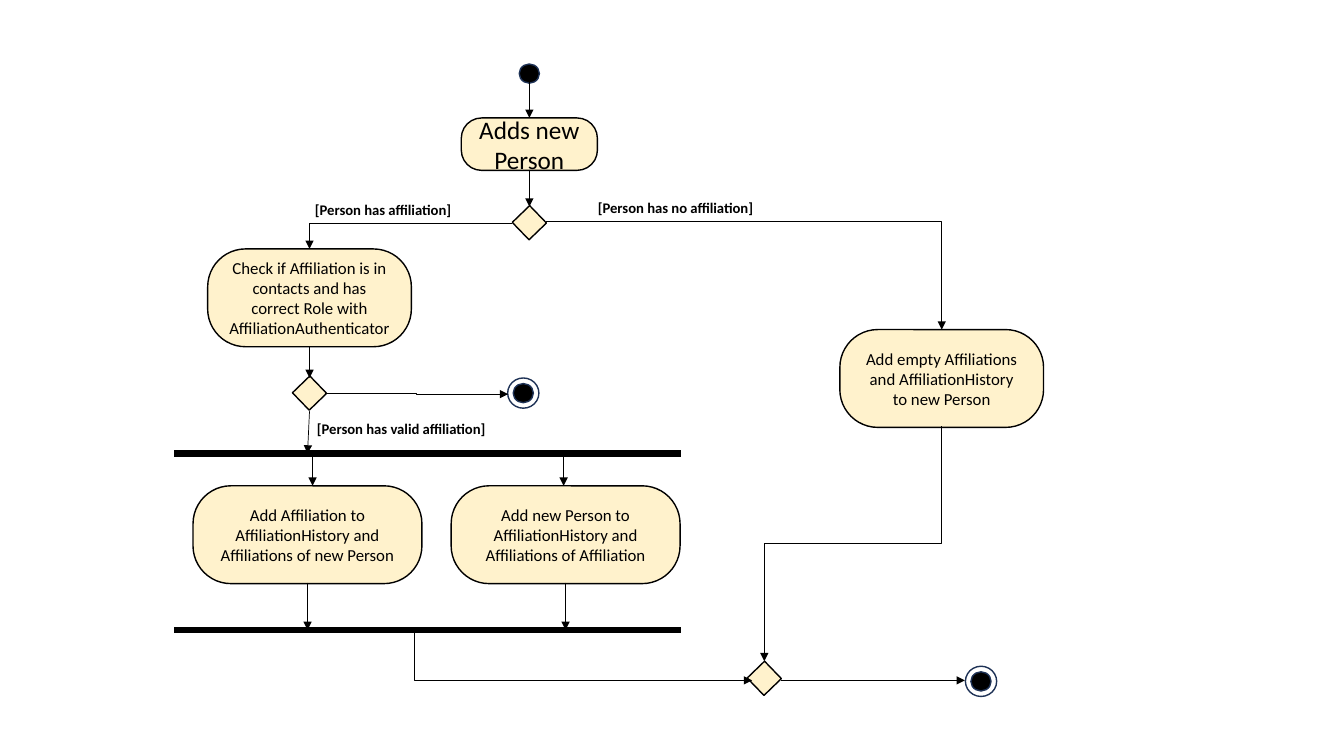
from dataclasses import dataclass

from lxml import etree
from pptx import Presentation
from pptx.dml.color import RGBColor
from pptx.enum.shapes import MSO_CONNECTOR, MSO_SHAPE
from pptx.enum.text import MSO_ANCHOR, PP_ALIGN
from pptx.oxml.ns import qn
from pptx.util import Inches, Pt

STRAIGHT, ELBOW = MSO_CONNECTOR.STRAIGHT, MSO_CONNECTOR.ELBOW
ROUNDED, RECTANGLE, OVAL = MSO_SHAPE.ROUNDED_RECTANGLE, MSO_SHAPE.RECTANGLE, MSO_SHAPE.OVAL
MIDDLE, CENTER = MSO_ANCHOR.MIDDLE, PP_ALIGN.CENTER


@dataclass(frozen=True)
class Theme:
    """Colours, font and sizes of the diagram."""
    ink: RGBColor = RGBColor(0x00, 0x00, 0x00)
    cream: RGBColor = RGBColor(0xFF, 0xF2, 0xCC)
    navy: RGBColor = RGBColor(0x1E, 0x32, 0x56)
    font: str = "Calibri"
    heading: float = 18
    body: float = 12
    label: float = 10.5
    outline: float = 1
    arrow: float = 0.5
    bar: float = 4.5


THEME = Theme()

# Grid of one-inch cells: columns across, rows down
COLUMNS, ROWS = 13.33, 7.5
MAIN, LEFT, RIGHT, MERGE, FINISH = 5.25, 3.07, 9.34, 7.58, 9.73
BRANCHES = (3.05, 5.61)
BAR_LEFT, BAR_RIGHT, FORK, JOIN = 1.73, 6.75, 4.5, 6.25
BRANCH_TOP, BRANCH_BOTTOM = 4.82, 5.78
ACTION_HEIGHT = 0.97


def grid(*cells):
    """Turn grid cells into slide lengths."""
    return [Inches(cell) for cell in cells]


def write(box, words, size, bold=False):
    """Put centred text into a box."""
    frame = box.text_frame
    frame.word_wrap = True
    para = frame.paragraphs[0]
    para.text = words
    para.alignment = CENTER
    para.font.name, para.font.size, para.font.bold = THEME.font, Pt(size), bold
    para.font.color.rgb = THEME.ink


def add_node(page, kind, column, row, width, height, fill, line):
    """Add an outlined shape centred on a grid point."""
    node = page.shapes.add_shape(
        kind, *grid(column - width / 2, row - height / 2, width, height))
    node.shadow.inherit = False
    if fill is None:
        node.fill.background()
    else:
        node.fill.solid()
        node.fill.fore_color.rgb = fill
    node.line.color.rgb = line
    node.line.width = Pt(THEME.outline)
    return node


def add_action(page, words, column, top, width, height=ACTION_HEIGHT, size=THEME.body):
    """Add a rounded activity box below the given row."""
    action = add_node(page, ROUNDED, column, top + height / 2, width, height,
                      THEME.cream, THEME.ink)
    action.adjustments[0] = 0.387
    action.text_frame.vertical_anchor = MIDDLE
    write(action, words, size)


def add_decision(page, column, row):
    """Add a diamond as a turned square."""
    add_node(page, RECTANGLE, column, row, 0.24, 0.24, THEME.cream, THEME.ink).rotation = 46


def add_dot(page, column, row):
    """Add the filled dot of a start or an end."""
    add_node(page, OVAL, column, row, 0.2, 0.19, THEME.ink, THEME.navy)


def add_end(page, column, row):
    """Add a dot inside a ring."""
    add_dot(page, column, row)
    add_node(page, OVAL, column, row, 0.31, 0.3, None, THEME.navy)


def add_guard(page, words, column, top):
    """Add a bold condition centred on a column."""
    width = 2.56
    box = page.shapes.add_textbox(*grid(column - width / 2, top, width, 0.28))
    write(box, words, THEME.label, bold=True)


def add_line(page, begin, end, kind=STRAIGHT, weight=THEME.bar):
    """Add a plain line between two grid points."""
    line = page.shapes.add_connector(kind, *grid(*begin, *end))
    line.line.color.rgb = THEME.ink
    line.line.width = Pt(weight)
    etree.SubElement(line.element.spPr, qn("a:effectLst"))
    return line


def add_arrow(page, begin, end, kind=STRAIGHT):
    """Add a thin line with a triangle at its end."""
    arrow = add_line(page, begin, end, kind, THEME.arrow)
    etree.SubElement(arrow.element.spPr.find(qn("a:ln")), qn("a:tailEnd"), type="triangle")
    return arrow


def add_corner(page, begin, end):
    """Add an arrow that runs across, then down."""
    arrow = add_arrow(page, begin, end, ELBOW)
    arrow.element.spPr.find(qn("a:prstGeom")).set("prst", "bentConnector2")


def add_step(page, begin, end, bend=0.5):
    """Add an arrow across, down and across, turning at a share of its width."""
    arrow = add_arrow(page, begin, end, ELBOW)
    guides = arrow.element.spPr.find(qn("a:prstGeom")).find(qn("a:avLst"))
    etree.SubElement(guides, qn("a:gd"), name="adj1", fmla=f"val {round(bend * 100000)}")


def add_drop(page, begin, end):
    """Add an arrow down, left and down: a step turned by a quarter."""
    column, row = (begin[0] + end[0]) / 2, (begin[1] + end[1]) / 2
    length, width = end[1] - begin[1], begin[0] - end[0]
    arrow = add_arrow(page, (column - length / 2, row - width / 2),
                      (column + length / 2, row + width / 2), ELBOW)
    arrow.element.spPr.find(qn("a:xfrm")).set("rot", str(90 * 60000))


def add_parallel_work(page):
    """Add the fork and join bars with the two branches between them."""
    for row in (FORK, JOIN):
        add_line(page, (BAR_LEFT, row), (BAR_RIGHT, row))
    texts = ("Add Affiliation to AffiliationHistory and Affiliations of new Person",
             "Add new Person to AffiliationHistory and Affiliations of Affiliation")
    for words, column, entry in zip(texts, BRANCHES, (3.1, 5.59)):
        add_action(page, words, column, BRANCH_TOP, 2.27)
        add_arrow(page, (entry, FORK), (entry, BRANCH_TOP))
        add_arrow(page, (column, BRANCH_BOTTOM), (column, JOIN))


def main():
    """Build the activity diagram."""
    deck = Presentation()
    deck.slide_width, deck.slide_height = grid(COLUMNS, ROWS)
    page = deck.slides.add_slide(deck.slide_layouts[6])

    add_dot(page, MAIN, 0.73)
    add_action(page, "Adds new Person", MAIN, 1.17, 1.35, 0.52, THEME.heading)
    add_action(page, "Check if Affiliation is in contacts and has correct Role with "
               "AffiliationAuthenticator", LEFT, 2.47, 2.02)
    add_action(page, "Add empty Affiliations and AffiliationHistory to new Person",
               RIGHT, 3.27, 2.02)
    add_parallel_work(page)

    for column, row in ((MAIN, 2.21), (LEFT, 3.9), (MERGE, 6.73)):
        add_decision(page, column, row)
    for column, row in ((5.19, 3.9), (FINISH, 6.76)):
        add_end(page, column, row)

    add_guard(page, "[Person has affiliation]", 3.8, 1.94)
    add_guard(page, "[Person has no affiliation]", 6.7, 1.92)
    add_guard(page, "[Person has valid affiliation]", 3.98, 4.12)

    add_arrow(page, (MAIN, 0.77), (MAIN, 1.17))
    add_arrow(page, (MAIN, 1.69), (MAIN, 2.05))
    add_arrow(page, (LEFT, 3.44), (LEFT, 3.75))
    add_arrow(page, (LEFT, 4.08), (BRANCHES[0], FORK))
    add_corner(page, (5.08, 2.22), (LEFT, 2.47))
    add_corner(page, (5.42, 2.2), (RIGHT, 3.27))
    add_step(page, (3.22, 3.9), (5.04, 3.91))
    add_step(page, (4.24, 6.26), (7.46, 6.75), bend=-0.04)
    add_step(page, (7.75, 6.75), (9.57, 6.75))
    add_drop(page, (RIGHT, 4.23), (MERGE, 6.56))

    deck.save("out.pptx")


main()
